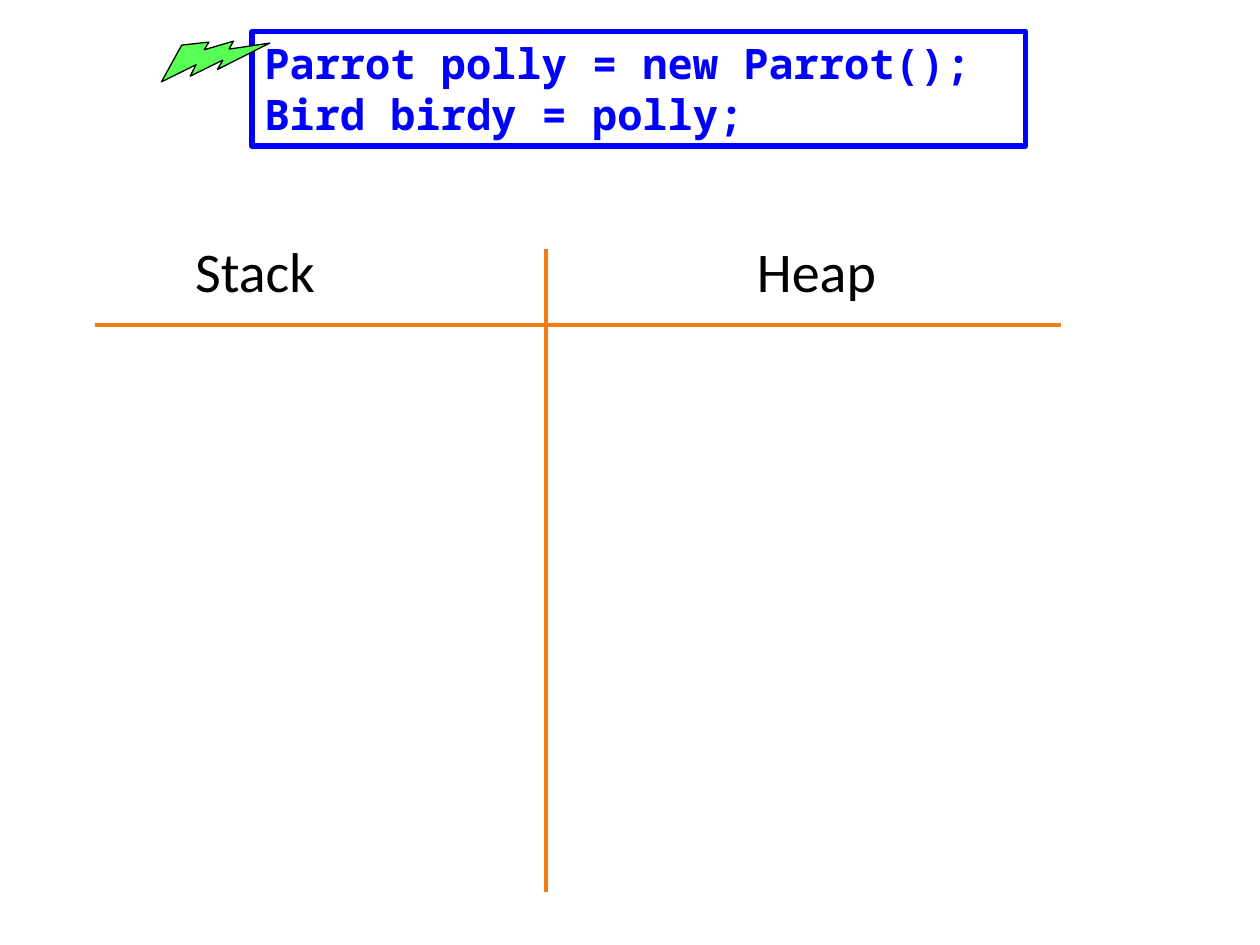
"""Build a slide with a code box above an empty stack and heap diagram."""
from lxml import etree
from pptx import Presentation
from pptx.dml.color import RGBColor
from pptx.enum.shapes import MSO_CONNECTOR, MSO_SHAPE
from pptx.enum.text import MSO_ANCHOR, PP_ALIGN
from pptx.oxml.ns import qn
from pptx.util import Inches, Pt

COLORS = {"code": "0000FF", "rule": "F27C14", "bolt": "58FF55", "ink": "000000"}
CODE = ["Parrot polly = new Parrot();", "Bird birdy = polly;"]
HEADINGS = [("Stack", 1.45), ("Heap", 5.91)]
RULES = [(4.33, 7.08, 4.33, 1.98), (0.75, 2.58, 8.42, 2.58)]


def color(name):
    return RGBColor.from_string(COLORS[name])


def write(shape, lines, font, size, ink, bold=False):
    frame = shape.text_frame
    frame.text = "\n".join(lines)
    frame.vertical_anchor = MSO_ANCHOR.TOP
    for paragraph in frame.paragraphs:
        paragraph.alignment = PP_ALIGN.LEFT
        for run in paragraph.runs:
            run.font.name = font
            run.font.size = Pt(size)
            run.font.bold = bold
            run.font.color.rgb = color(ink)


def add_outlined(slide, kind, box, ink, width):
    shape = slide.shapes.add_shape(kind, *map(Inches, box))
    shape.shadow.inherit = False
    shape.fill.background()
    shape.line.color.rgb = color(ink)
    shape.line.width = Pt(width)
    return shape


def add_rule(slide, ends):
    rule = slide.shapes.add_connector(MSO_CONNECTOR.STRAIGHT, *map(Inches, ends))
    rule.line.color.rgb = color("rule")
    rule.line.width = Pt(2.25)
    etree.SubElement(rule._element.spPr, qn("a:effectLst"))


def main():
    deck = Presentation()
    deck.slide_width, deck.slide_height = Inches(10), Inches(7.5)
    slide = deck.slides.add_slide(deck.slide_layouts[6])

    for heading, left in HEADINGS:
        label = slide.shapes.add_textbox(
            Inches(left), Inches(1.83), Inches(1.84), Inches(0.64))
        label.text_frame.word_wrap = True
        write(label, [heading], "Calibri", 32, "ink")

    for ends in RULES:
        add_rule(slide, ends)

    code_box = add_outlined(slide, MSO_SHAPE.RECTANGLE, (2, 0.25, 6.14, 0.91), "code", 3)
    code_box.text_frame.word_wrap = True
    write(code_box, CODE, "Noto Sans Mono", 24, "code", bold=True)

    bolt = add_outlined(
        slide, MSO_SHAPE.LIGHTNING_BOLT, (1.27, 0.22, 0.82, 0.49), "ink", 0.75)
    bolt.fill.solid()
    bolt.fill.fore_color.rgb = color("bolt")
    bolt.rotation = 314.2

    deck.save("out.pptx")


if __name__ == "__main__":
    main()
